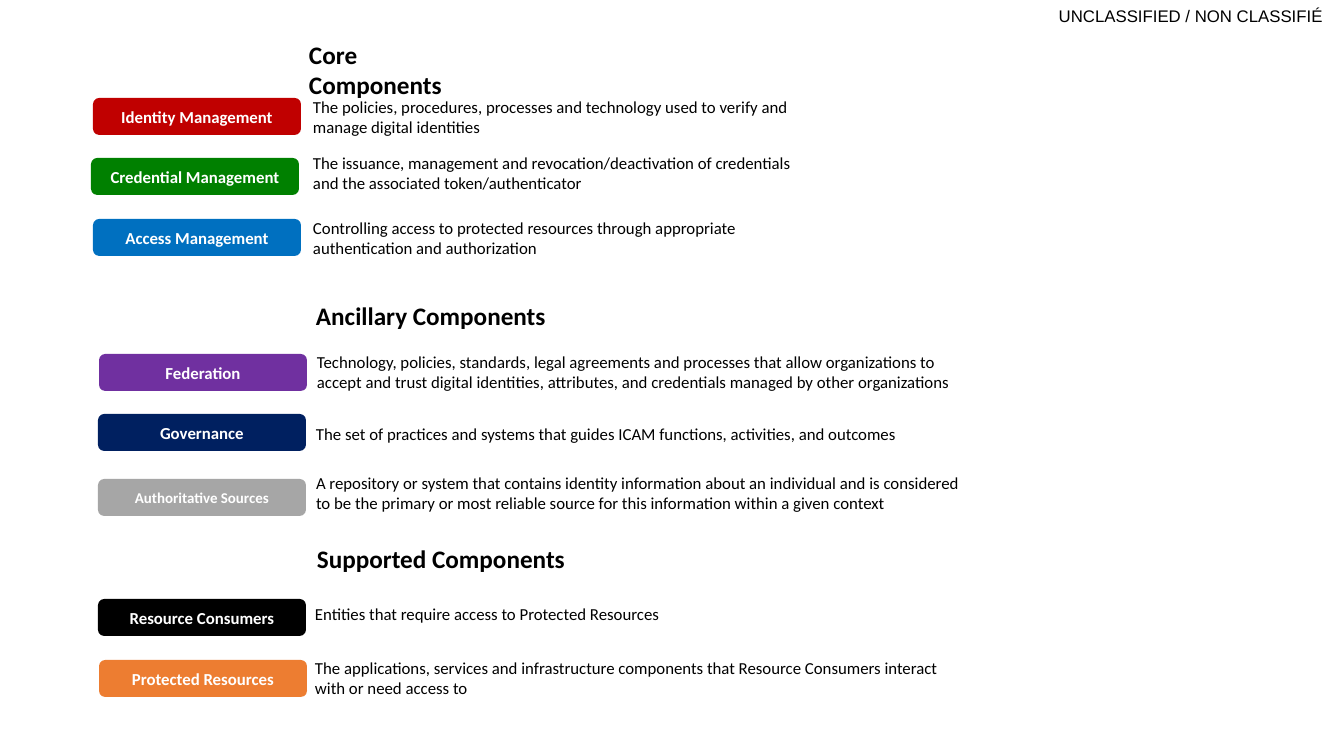
from typing import NamedTuple

from pptx import Presentation
from pptx.dml.color import RGBColor
from pptx.enum.shapes import MSO_SHAPE
from pptx.enum.text import MSO_ANCHOR, MSO_AUTO_SIZE, PP_ALIGN
from pptx.util import Emu, Pt

EMU_PER_PX = 914400 / 100.8
BADGE_WIDTH, BADGE_HEIGHT = 208, 37
ONE_LINE, TWO_LINES = 30, 50
BLACK, WHITE = "000000", "FFFFFF"


class Component(NamedTuple):
    """A coloured badge and the description beside it."""
    label: str
    fill: str
    badge_left: int
    badge_top: int
    description: str
    left: int
    top: int
    width: int
    height: int = TWO_LINES
    label_size: float = 12


class Heading(NamedTuple):
    """A heading above a group of components."""
    words: str
    left: int
    top: int
    width: int
    height: int = 40
    wraps: bool = False


COMPONENTS = [
    Component("Identity Management", "C00000", 93, 98,
              "The policies, procedures, processes and technology used to verify "
              "and manage digital identities", 303, 92, 513),
    Component("Credential Management", "008000", 91, 158,
              "The issuance, management and revocation/deactivation of credentials "
              "and the associated token/authenticator", 303, 148, 503),
    Component("Access Management", "0070C0", 93, 219,
              "Controlling access to protected resources through appropriate "
              "authentication and authorization", 303, 213, 503),
    Component("Federation", "7030A0", 99, 354,
              "Technology, policies, standards, legal agreements and processes that "
              "allow organizations to accept and trust digital identities, attributes, "
              "and credentials managed by other organizations", 307, 347, 664),
    Component("Governance", "002060", 98, 414,
              "The set of practices and systems that guides ICAM functions, "
              "activities, and outcomes", 306, 419, 614, ONE_LINE),
    Component("Authoritative Sources", "A6A6A6", 98, 479,
              "A repository or system that contains identity information about an "
              "individual and is considered to be the primary or most reliable source "
              "for this information within a given context", 306, 468, 665,
              label_size=10.7),
    Component("Resource Consumers", "000000", 98, 599,
              "Entities that require access to Protected Resources",
              305, 599, 651, ONE_LINE),
    Component("Protected Resources", "ED7D31", 99, 660,
              "The applications, services and infrastructure components that Resource "
              "Consumers interact with or need access to", 305, 653, 651),
]
CORE = Heading("Core Components", 299, 34, 170, 71, True)
OTHER_HEADINGS = [
    Heading("Ancillary Components", 306, 295, 252),
    Heading("Supported Components", 307, 538, 270),
]


def px(length: float) -> Emu:
    """Turn pixels into EMU."""
    return Emu(round(length * EMU_PER_PX))


def rgb(code: str) -> RGBColor:
    """Turn a hex string into a colour."""
    return RGBColor.from_string(code)


def box(left: int, top: int, width: int, height: int) -> tuple:
    """Give a position and size in EMU."""
    return px(left), px(top), px(width), px(height)


def write(holder, words: str, size: float, color: str = BLACK, bold: bool = False,
          align=PP_ALIGN.LEFT, anchor=MSO_ANCHOR.TOP, wraps: bool = True,
          margins: tuple = (10, 5), font: str = "Calibri") -> None:
    """Put one formatted run in a shape."""
    frame = holder.text_frame
    frame.auto_size = MSO_AUTO_SIZE.NONE
    frame.word_wrap = wraps
    frame.vertical_anchor = anchor
    frame.margin_left = frame.margin_right = px(margins[0])
    frame.margin_top = frame.margin_bottom = px(margins[1])
    paragraph = frame.paragraphs[0]
    paragraph.alignment = align
    run = paragraph.add_run()
    run.text = words
    run.font.name, run.font.size, run.font.bold = font, Pt(size), bold
    run.font.color.rgb = rgb(color)


def draw_component(slide, item: Component) -> None:
    """Draw a badge and its description."""
    badge = slide.shapes.add_shape(
        MSO_SHAPE.ROUNDED_RECTANGLE,
        *box(item.badge_left, item.badge_top, BADGE_WIDTH, BADGE_HEIGHT))
    badge.shadow.inherit = False
    badge.fill.solid()
    badge.fill.fore_color.rgb = rgb(item.fill)
    badge.line.fill.background()
    write(badge, item.label, item.label_size, WHITE, True, PP_ALIGN.CENTER,
          MSO_ANCHOR.MIDDLE, margins=(5, 0))
    description = slide.shapes.add_textbox(
        *box(item.left, item.top, item.width, item.height))
    write(description, item.description, 12)


def draw_heading(holder, heading: Heading) -> None:
    """Place and fill a group heading."""
    holder.left, holder.top, holder.width, holder.height = box(
        heading.left, heading.top, heading.width, heading.height)
    write(holder, heading.words, 18, bold=True, wraps=heading.wraps)


def build() -> None:
    """Build and save the slide."""
    deck = Presentation()
    deck.slide_width, deck.slide_height = px(1344), px(756)
    title_only = deck.slide_layouts[5]
    slide = deck.slides.add_slide(title_only)
    draw_heading(slide.shapes.title, CORE)
    for heading in OTHER_HEADINGS:
        draw_heading(slide.shapes.add_textbox(0, 0, 0, 0), heading)
    for item in COMPONENTS:
        draw_component(slide, item)
    classification = slide.shapes.add_textbox(*box(1019, 0, 304, 31))
    write(classification, "UNCLASSIFIED / NON CLASSIFIÉ", 12, align=PP_ALIGN.RIGHT,
          anchor=MSO_ANCHOR.MIDDLE, margins=(0, 0), font="Arial")
    deck.save("out.pptx")


build()
